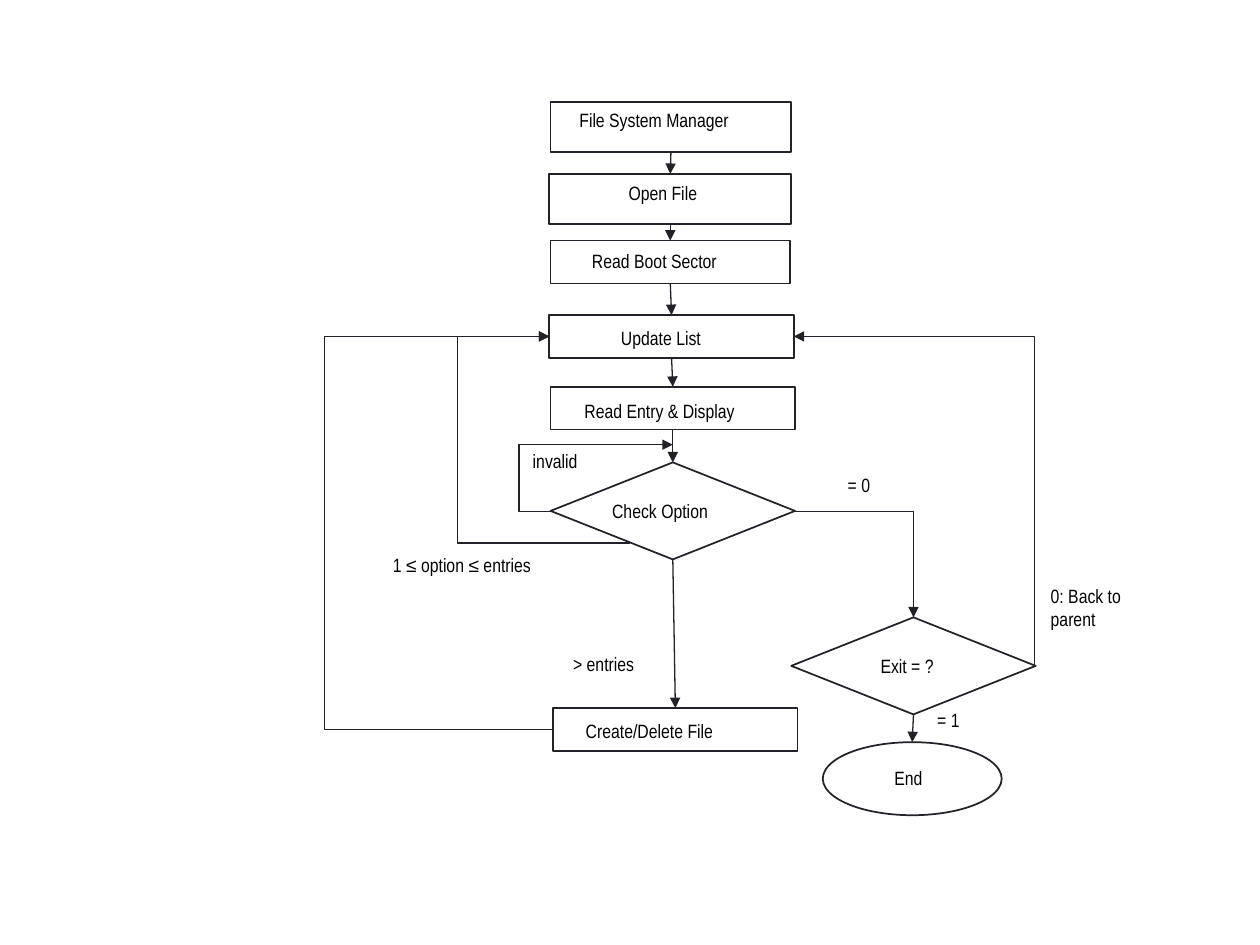
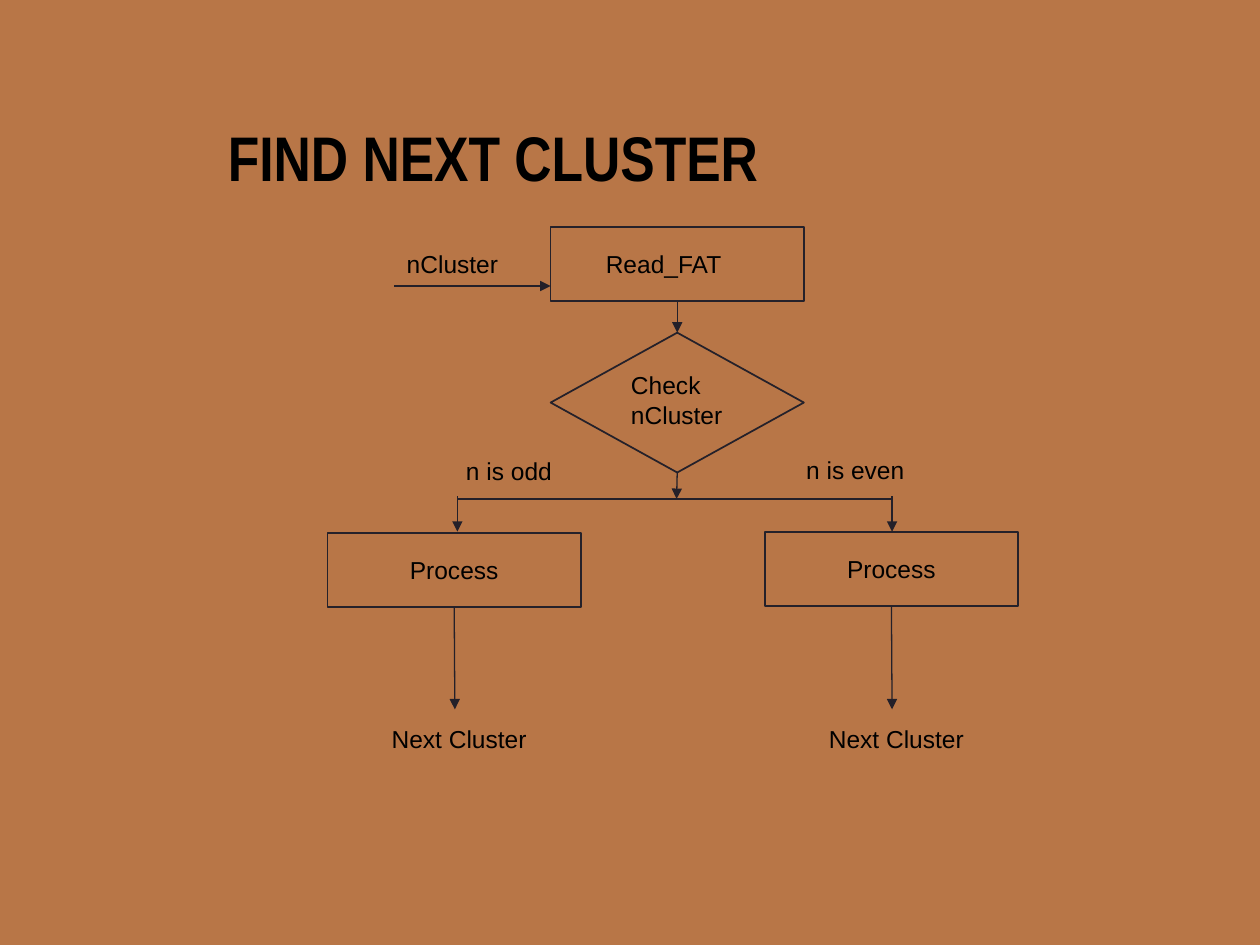
"""Build two flow charts: a file system manager and a cluster search."""
import dataclasses

import lxml.etree
import pptx
import pptx.dml.color
import pptx.enum.shapes
import pptx.enum.text
import pptx.oxml.ns
import pptx.util

Inches = pptx.util.Inches
Kind = pptx.enum.shapes.MSO_SHAPE
Wire = pptx.enum.shapes.MSO_CONNECTOR
Align = pptx.enum.text.PP_ALIGN
qn = pptx.oxml.ns.qn


@dataclasses.dataclass(frozen=True)
class Theme:
    paper: str = "FFFFFF"
    clay: str = "B87647"
    ink: str = "000000"
    edge: str = "25212A"
    wire: str = "242029"
    narrow: str = "Arial Narrow"
    plain: str = "Arial"
    small: int = 11
    body: int = 14
    title: int = 36
    border: float = 1
    stroke: float = 0.75


THEME = Theme()
TOP, BOTTOM = 0, 2


def color(code):
    return pptx.dml.color.RGBColor.from_string(code)


def add_slide(deck, fill):
    slide = deck.slides.add_slide(deck.slide_layouts[6])
    slide.background.fill.solid()
    slide.background.fill.fore_color.rgb = color(fill)
    return slide


def add_text(slide, text, left, top, width, height=0.29, *, size=THEME.small,
             font=THEME.narrow, bold=False, align=None):
    box = slide.shapes.add_textbox(*map(Inches, (left, top, width, height)))
    frame = box.text_frame
    frame.word_wrap = True
    frame.auto_size = pptx.enum.text.MSO_AUTO_SIZE.SHAPE_TO_FIT_TEXT
    line = frame.paragraphs[0]
    line.alignment = align
    run = line.add_run()
    run.text = text
    run.font.size = pptx.util.Pt(size)
    run.font.name = font
    run.font.bold = bold
    run.font.color.rgb = color(THEME.ink)


def add_node(slide, kind, left, top, width, height):
    node = slide.shapes.add_shape(kind, *map(Inches, (left, top, width, height)))
    node.shadow.inherit = False
    node.fill.background()
    node.line.color.rgb = color(THEME.edge)
    node.line.width = pptx.util.Pt(THEME.border)
    return node


def add_wire(slide, kind, start, end, arrow=True):
    wire = slide.shapes.add_connector(kind, *map(Inches, (*start, *end)))
    wire.line.color.rgb = color(THEME.wire)
    wire.line.width = pptx.util.Pt(THEME.stroke)
    props = wire.element.spPr
    if arrow:
        lxml.etree.SubElement(props.find(qn("a:ln")), qn("a:tailEnd"), type="triangle")
    lxml.etree.SubElement(props, qn("a:effectLst"))
    return wire


def join(slide, start, end, arrow=True):
    """Draw a straight line between points or (node, side) pairs."""
    fixed = [isinstance(stop[0], (int, float)) for stop in (start, end)]
    wire = add_wire(slide, Wire.STRAIGHT, start if fixed[0] else (0, 0),
                    end if fixed[1] else (0, 0), arrow)
    if not fixed[0]:
        wire.begin_connect(*start)
    if not fixed[1]:
        wire.end_connect(*end)


def chain(slide, *nodes):
    for upper, lower in zip(nodes, nodes[1:]):
        join(slide, (upper, BOTTOM), (lower, TOP))


def set_bend(wire, preset, *ratios):
    shape = wire.element.spPr.find(qn("a:prstGeom"))
    shape.set("prst", preset)
    guides = shape.find(qn("a:avLst"))
    for spot, ratio in enumerate(ratios, 1):
        lxml.etree.SubElement(guides, qn("a:gd"), fmla=f"val {round(ratio * 100000)}",
                              name=f"adj{spot}" if len(ratios) > 1 else "adj1")


def loop(slide, start, end, lane):
    """Run sideways to x = lane, then up or down, then to the end."""
    wire = add_wire(slide, Wire.ELBOW, start, end)
    set_bend(wire, "bentConnector3", (lane - start[0]) / (end[0] - start[0]))


def climb(slide, start, end, preset, *ratios):
    """Run up first and then left, by a quarter turn of the connector."""
    mid_x, mid_y = (start[0] + end[0]) / 2, (start[1] + end[1]) / 2
    half_w, half_h = (start[1] - end[1]) / 2, (start[0] - end[0]) / 2
    wire = add_wire(slide, Wire.ELBOW, (mid_x - half_w, mid_y + half_h),
                    (mid_x + half_w, mid_y - half_h))
    wire.element.spPr.find(qn("a:xfrm")).set("rot", str(270 * 60000))
    set_bend(wire, preset, *ratios)


def draw_menu(deck):
    slide = add_slide(deck, THEME.paper)
    steps = [
        (Kind.RECTANGLE, 4.37, 0.81, 1.91, 0.4, "File System Manager", 4.5, 0.81),
        (Kind.RECTANGLE, 4.36, 1.38, 1.92, 0.4, "Open File", 4.89, 1.39),
        (Kind.RECTANGLE, 4.37, 1.91, 1.9, 0.34, "Read Boot Sector", 4.6, 1.93),
        (Kind.RECTANGLE, 4.36, 2.5, 1.94, 0.34, "Update List", 4.83, 2.54),
        (Kind.RECTANGLE, 4.37, 3.07, 1.94, 0.34, "Read Entry & Display", 4.54, 3.12),
        (Kind.DIAMOND, 4.37, 3.67, 1.94, 0.77, "Check Option", 4.76, 3.91),
        (Kind.RECTANGLE, 4.39, 5.62, 1.94, 0.34, "Create/Delete File", 4.55, 5.66),
        (Kind.DIAMOND, 6.28, 4.9, 1.94, 0.77, "Exit = ?", 6.89, 5.14),
        (Kind.OVAL, 6.53, 5.89, 1.42, 0.58, "End", 7, 6.03),
    ]
    nodes = []
    for kind, left, top, width, height, text, text_x, text_y in steps:
        nodes.append(add_node(slide, kind, left, top, width, height))
        add_text(slide, text, text_x, text_y, 3.6)
    chain(slide, *nodes[:7])
    chain(slide, *nodes[7:])

    loop(slide, (4.37, 4.06), (5.34, 3.53), 4.12)
    loop(slide, (4.39, 5.79), (4.36, 2.67), 2.57)
    set_bend(add_wire(slide, Wire.ELBOW, (6.31, 4.06), (7.25, 4.9)), "bentConnector2")
    climb(slide, (8.21, 5.28), (6.3, 2.67), "bentConnector2")
    climb(slide, (5, 4.31), (4.36, 2.67), "bentConnector4", 0, 2.14)

    for text, *place in [
        ("= 0", 6.63, 3.71, 0.94),
        ("0: Back to parent", 8.24, 4.59, 1.05, 0.47),
        ("= 1", 7.34, 5.57, 0.94),
        ("invalid", 4.13, 3.52, 0.94),
        ("> entries", 4.45, 5.13, 1.12),
        ("1 ≤ option ≤ entries", 3.02, 4.34, 2),
    ]:
        add_text(slide, text, *place)


def draw_search(deck):
    slide = add_slide(deck, THEME.clay)
    style = {"size": THEME.body, "font": THEME.plain}
    add_text(slide, "FIND NEXT CLUSTER", 1.71, 0.89, 5.79, 0.71,
             size=THEME.title, bold=True)
    read = add_node(slide, Kind.RECTANGLE, 4.37, 1.8, 2.01, 0.59)
    check = add_node(slide, Kind.DIAMOND, 4.37, 2.64, 2.01, 1.11)
    chain(slide, read, check)
    join(slide, (3.13, 2.27), (4.37, 2.27))
    join(slide, (check, BOTTOM), (5.37, 3.96))
    join(slide, (3.63, 3.96), (7.08, 3.96), arrow=False)

    for left, top, drop in [(2.6, 4.23, 3.63), (6.07, 4.22, 7.08)]:
        task = add_node(slide, Kind.RECTANGLE, left, top, 2.01, 0.59)
        add_text(slide, "Process", left + 0.27, top + 0.13, 1.47, 0.34,
                 align=Align.CENTER, **style)
        join(slide, (drop, 3.94), (drop, 4.22))
        join(slide, (task, BOTTOM), (left + 1.01, 5.63))
        add_text(slide, "Next Cluster", left + 0.41, 5.7, 1.47, 0.34, **style)

    for text, *place in [
        ("Read_FAT", 4.71, 1.93, 1.47, 0.34),
        ("Check nCluster", 4.91, 2.89, 1.47, 0.57),
        ("nCluster", 3.13, 1.93, 1.47, 0.34),
        ("n is odd", 3.6, 3.57, 0.94, 0.34),
        ("n is even", 6.3, 3.56, 1.2, 0.34),
    ]:
        add_text(slide, text, *place, **style)


def main():
    deck = pptx.Presentation()
    deck.slide_width, deck.slide_height = Inches(10), Inches(7.5)
    draw_menu(deck)
    draw_search(deck)
    deck.save("out.pptx")


if __name__ == "__main__":
    main()
